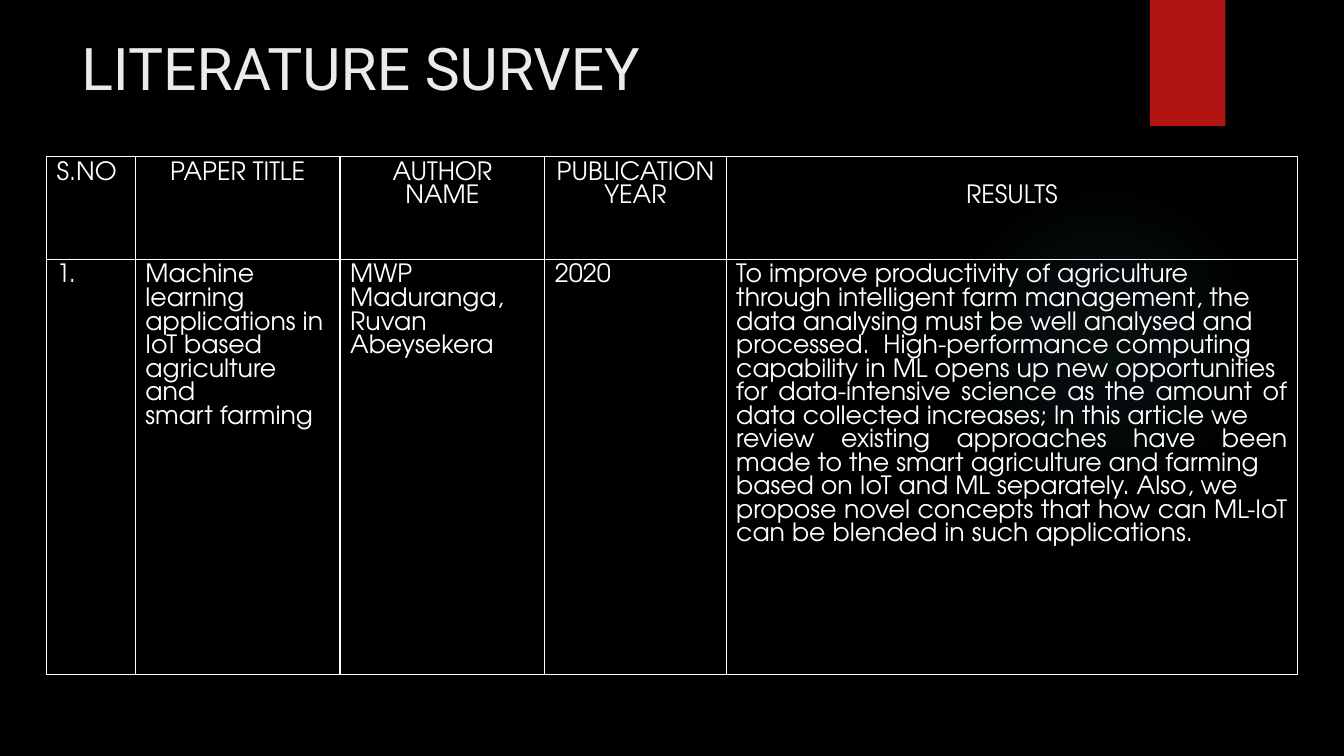
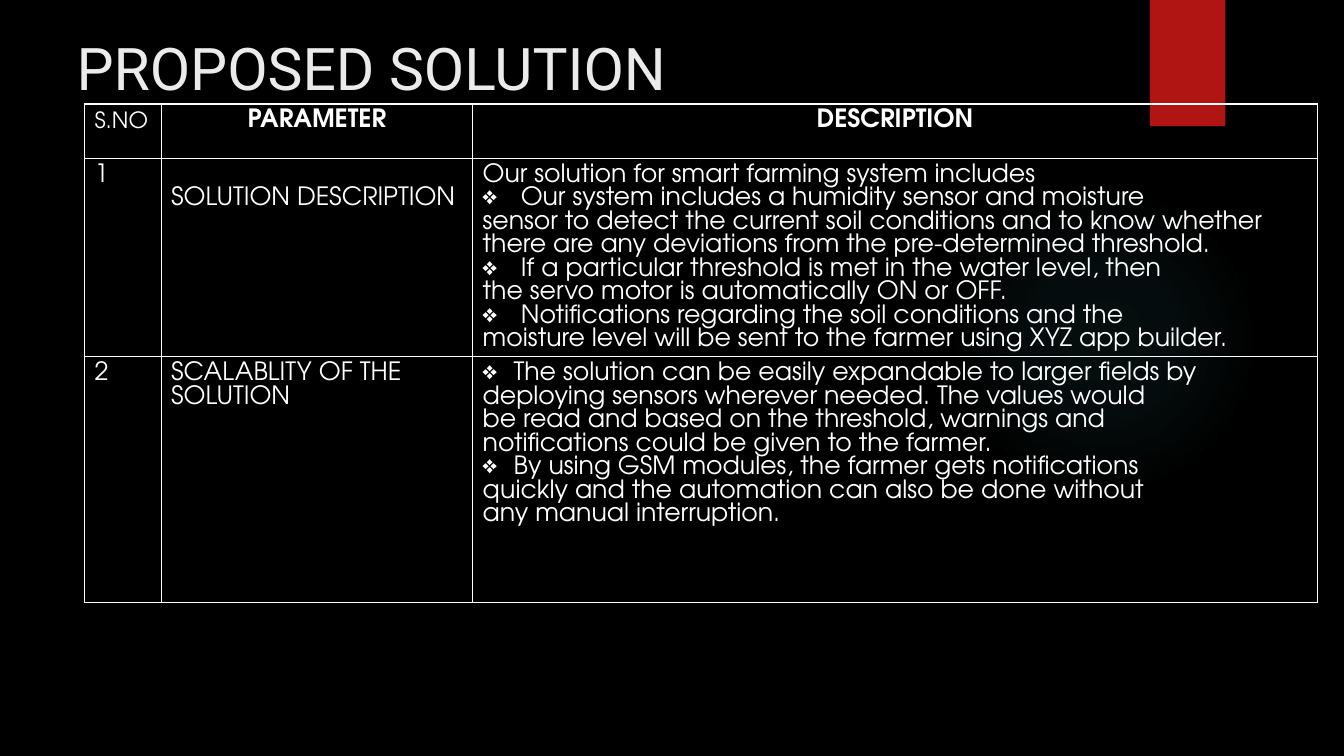
from dataclasses import dataclass

from lxml import etree
from pptx import Presentation
from pptx.dml.color import RGBColor
from pptx.enum.shapes import MSO_SHAPE as Preset
from pptx.enum.text import MSO_ANCHOR as Anchor, PP_ALIGN as Align
from pptx.oxml import parse_xml
from pptx.oxml.ns import nsdecls, qn
from pptx.util import Cm, Pt

# Shared look
BLACK, WHITE, OFF_WHITE = "000000", "FFFFFF", "EBEBEB"
RED, TEAL = "B01513", "50B9C1"
TITLE_FONT, BODY_FONT = "Roboto", "TeX Gyre Adventor"
TITLE_SIZE, BODY_SIZE, LINE_PITCH = 42, 18, 16.8
GLOW_STOPS = [(0, 7), (36, 6), (69, 0)]  # position and opacity, in percent
MARGIN_TOP = 0.13


@dataclass
class Entry:
    """Content of one table cell; bullets and justified hold line numbers."""
    lines: list
    align: Align = Align.LEFT
    size: float = BODY_SIZE
    bold: bool = False
    drop: int = 0
    bullets: tuple = ()
    indent: float = 0
    justified: tuple = ()


def heading(*lines, **options):
    return Entry(list(lines), align=Align.CENTER, **options)


def plain(*lines, **options):
    return Entry(list(lines), **options)


def rgb(value):
    return RGBColor.from_string(value)


def style_runs(paragraph, font_name, size, color, bold=False):
    for run in paragraph.runs:
        run.font.name, run.font.size, run.font.bold = font_name, Pt(size), bold
        run.font.color.rgb = rgb(color)


# Backdrop: black ground, faint glow, red band
def add_decoration(slide, preset, left, top, width, height):
    decoration = slide.shapes.add_shape(preset, Cm(left), Cm(top), Cm(width), Cm(height))
    decoration.shadow.inherit = False
    decoration.line.fill.background()
    return decoration


def add_backdrop(slide):
    ground = slide.background.fill
    ground.solid()
    ground.fore_color.rgb = rgb(BLACK)

    glow = add_decoration(slide, Preset.OVAL, 23.9, 4.65, 7.82, 7.82)
    stops = "".join(
        f'<a:gs pos="{position * 1000}"><a:srgbClr val="{TEAL}">'
        f'<a:alpha val="{opacity * 1000}"/></a:srgbClr></a:gs>'
        for position, opacity in GLOW_STOPS)
    gradient = parse_xml(
        f'<a:gradFill {nsdecls("a")} rotWithShape="1"><a:gsLst>{stops}</a:gsLst>'
        '<a:path path="circle"><a:fillToRect l="50000" t="50000" r="50000" b="50000"/>'
        '</a:path></a:gradFill>')
    glow.element.spPr.find(qn("a:prstGeom")).addnext(gradient)

    band = add_decoration(slide, Preset.RECTANGLE, 28.98, 0, 1.9, 3.18)
    band.fill.solid()
    band.fill.fore_color.rgb = rgb(RED)


def add_title(slide, text, left):
    frame = slide.shapes.add_textbox(Cm(left), Cm(0.58), Cm(26.14), Cm(2.24)).text_frame
    frame.word_wrap = True
    frame.vertical_anchor = Anchor.MIDDLE
    frame.text = text
    style_runs(frame.paragraphs[0], TITLE_FONT, TITLE_SIZE, OFF_WHITE)


# Table parts
def add_bullet(paragraph, indent):
    properties = paragraph._p.get_or_add_pPr()
    properties.set("marL", str(Cm(indent)))
    properties.set("indent", str(-Cm(indent)))
    etree.SubElement(properties, qn("a:buChar")).set("char", "❖")


def outline_cell(cell):
    properties = cell._tc.get_or_add_tcPr()
    for side in "LRTB":
        properties.append(parse_xml(
            f'<a:ln{side} {nsdecls("a")} w="{Pt(1)}"><a:solidFill>'
            f'<a:srgbClr val="{WHITE}"/></a:solidFill></a:ln{side}>'))
    cell.fill.background()


def fill_cell(cell, entry):
    outline_cell(cell)
    cell.margin_top = Cm(MARGIN_TOP) + entry.drop * Pt(LINE_PITCH)
    cell.text_frame.text = "\n".join(entry.lines)
    for number, paragraph in enumerate(cell.text_frame.paragraphs):
        paragraph.alignment = Align.JUSTIFY if number in entry.justified else entry.align
        paragraph.line_spacing = Pt(LINE_PITCH)
        style_runs(paragraph, BODY_FONT, entry.size, WHITE, entry.bold)
        if number in entry.bullets:
            add_bullet(paragraph, entry.indent)


def add_grid(slide, left, top, widths, heights, rows):
    grid = slide.shapes.add_table(
        len(heights), len(widths), Cm(left), Cm(top),
        Cm(sum(widths)), Cm(sum(heights))).table
    grid.first_row = grid.horz_banding = False
    for column, width in zip(grid.columns, widths):
        column.width = Cm(width)
    for row, height, entries in zip(grid.rows, heights, rows):
        row.height = Cm(height)
        for cell, entry in zip(row.cells, entries):
            fill_cell(cell, entry)


def add_table_slide(deck, title, title_left, **grid):
    slide = deck.slides.add_slide(deck.slide_layouts[6])
    add_backdrop(slide)
    add_title(slide, title, title_left)
    add_grid(slide, **grid)


# Content
SURVEY_ROWS = [
    [plain("S.NO"), heading("PAPER TITLE"), heading("AUTHOR", "NAME"),
     heading("PUBLICATION", "YEAR"), heading("RESULTS", drop=1)],
    [plain("1."),
     plain("Machine", "learning", "applications in", "IoT based",
           "agriculture and", "smart farming"),
     plain("MWP", "Maduranga,", "Ruvan", "Abeysekera"),
     plain("2020"),
     plain("To improve productivity of agriculture through intelligent farm management, "
           "the data analysing must be well analysed and processed.  High-performance "
           "computing capability in ML opens up new opportunities",
           "for data-intensive science as the amount of data collected increases; "
           "In this article we",
           "review existing approaches have been made to the smart agriculture and farming",
           "based on IoT and ML separately. Also, we",
           "propose novel concepts that how can ML-IoT can be blended in such applications.",
           justified=(1, 2, 3, 4))],
]

SOLUTION_ROWS = [
    [plain("S.NO", size=16), heading("PARAMETER", bold=True),
     heading("DESCRIPTION", bold=True)],
    [plain("1"), plain("SOLUTION DESCRIPTION", drop=1),
     plain("Our solution for smart farming system includes",
           "Our system includes a humidity sensor and moisture",
           "sensor to detect the current soil conditions and to know whether there are any "
           "deviations from the pre-determined threshold.",
           "If a particular threshold is met in the water level, then",
           "the servo motor is automatically ON or OFF.",
           "Notifications regarding the soil conditions and the",
           "moisture level will be sent to the farmer using XYZ app builder.",
           bullets=(1, 3, 5), indent=0.96)],
    [plain("2"), plain("SCALABLITY OF THE SOLUTION"),
     plain("The solution can be easily expandable to larger fields by",
           "deploying sensors wherever needed. The values would",
           "be read and based on the threshold, warnings and",
           "notifications could be given to the farmer.",
           "By using GSM modules, the farmer gets notifications",
           "quickly and the automation can also be done without",
           "any manual interruption.",
           bullets=(0, 4), indent=0.78)],
]


def main():
    deck = Presentation()
    deck.slide_width, deck.slide_height = Cm(33.87), Cm(19.05)
    add_table_slide(deck, "LITERATURE SURVEY", 1.8, left=1.17, top=3.94,
                    widths=[2.24, 5.16, 5.16, 4.57, 14.4], heights=[2.59, 10.46],
                    rows=SURVEY_ROWS)
    add_table_slide(deck, "PROPOSED SOLUTION", 1.68, left=2.13, top=2.62,
                    widths=[1.93, 7.85, 21.29], heights=[1.37, 5, 6.2],
                    rows=SOLUTION_ROWS)
    deck.save("out.pptx")


if __name__ == "__main__":
    main()
